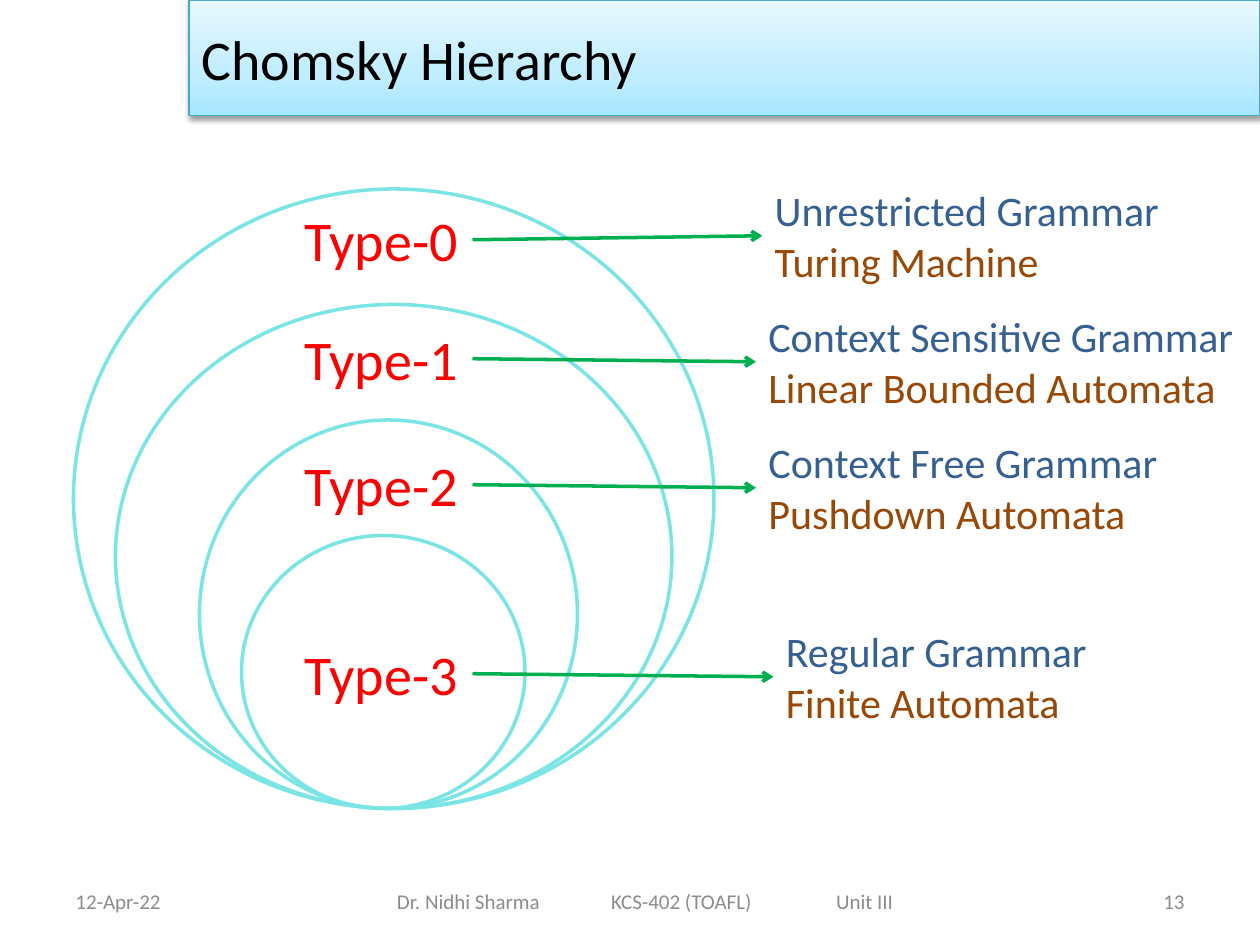
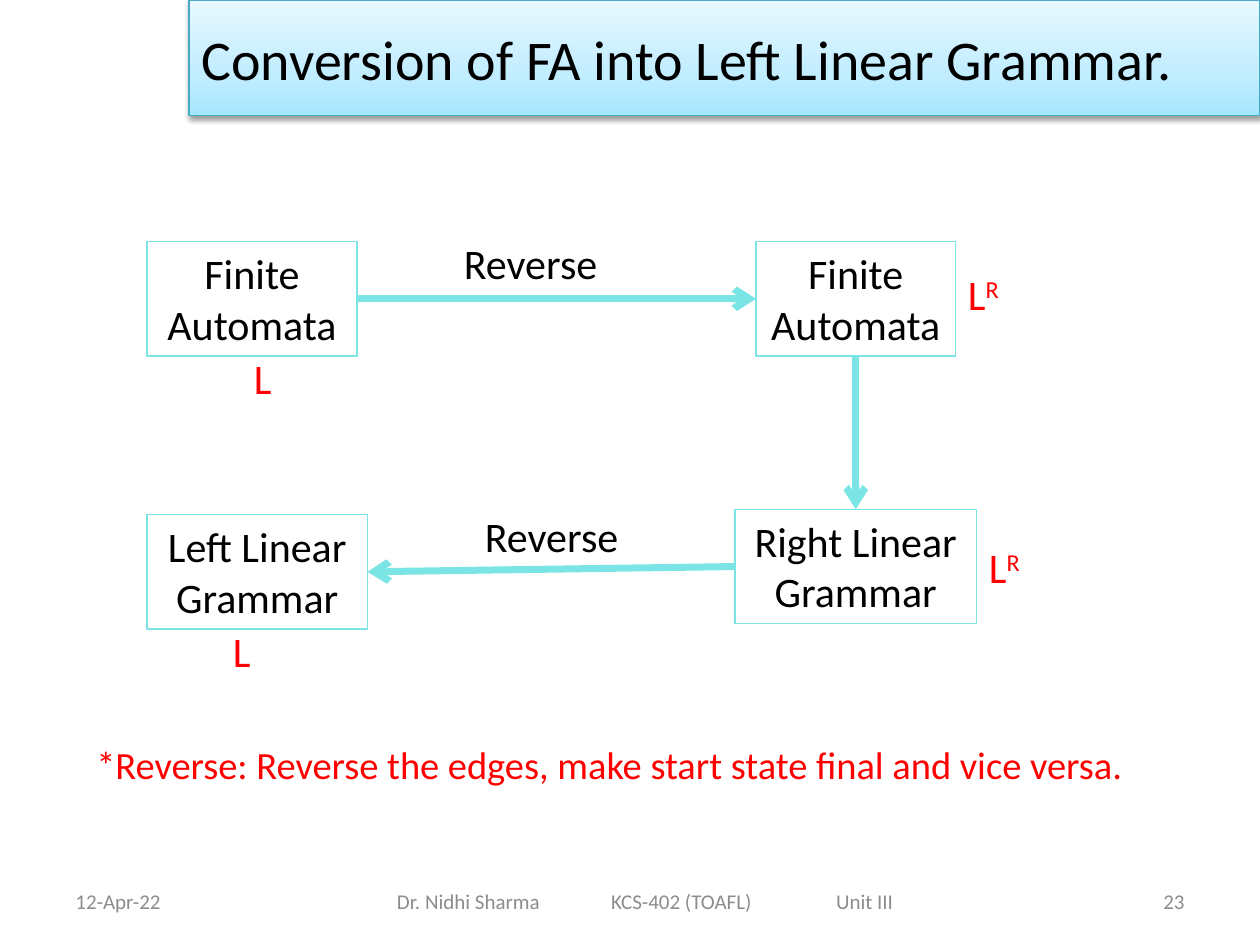
from dataclasses import dataclass
from typing import NamedTuple

from lxml import etree
from pptx import Presentation
from pptx.dml.color import RGBColor
from pptx.enum.shapes import MSO_CONNECTOR, MSO_SHAPE
from pptx.enum.text import MSO_ANCHOR, MSO_AUTO_SIZE, PP_ALIGN
from pptx.oxml.ns import qn
from pptx.util import Pt

LEFT, CENTER, RIGHT = PP_ALIGN.LEFT, PP_ALIGN.CENTER, PP_ALIGN.RIGHT
TOP, MIDDLE = MSO_ANCHOR.TOP, MSO_ANCHOR.MIDDLE
GROW, FIXED = MSO_AUTO_SIZE.SHAPE_TO_FIT_TEXT, MSO_AUTO_SIZE.NONE
RECT, OVAL = MSO_SHAPE.RECTANGLE, MSO_SHAPE.OVAL
STRAIGHT = MSO_CONNECTOR.STRAIGHT
SIDE_TOP, SIDE_LEFT, SIDE_BOTTOM, SIDE_RIGHT = range(4)


@dataclass(frozen=True)
class Theme:
    """Colours, font and type sizes shared by the slides."""
    font: str = "Calibri"
    black: str = "000000"
    red: str = "FF0000"
    grey: str = "8C8C8C"
    aqua: str = "7BE5E5"
    green: str = "00B050"
    blue: str = "376092"
    brown: str = "984807"
    band_line: str = "46AAC5"
    band_stops: tuple = ((0, "A7E6FF"), (35, "C1EDFF"), (100, "E7F8FF"))
    title: int = 32
    body: int = 24
    note: int = 22
    footer: int = 12


T = Theme()


class Box(NamedTuple):
    """Left, top, width and height in points."""
    x: float
    y: float
    w: float
    h: float


class Level(NamedTuple):
    """One class of the hierarchy with its grammar and its machine."""
    name: str
    name_y: float
    grammar: str
    machine: str
    box: Box
    oval_x: float
    oval_w: float


class Step(NamedTuple):
    """A boxed stage of the conversion with the language beside it."""
    text: str
    box: Box
    language: str
    language_x: float
    language_y: float


LEVELS = (
    Level("Type-0", 114, "Unrestricted Grammar", "Turing Machine",
          Box(435.6, 102, 236, 65.5), 42, 366),
    Level("Type-1", 182, "Context Sensitive Grammar", "Linear Bounded Automata",
          Box(432, 174, 283, 65.5), 66, 318),
    Level("Type-2", 254, "Context Free Grammar", "Pushdown Automata",
          Box(432, 246, 239, 65.5), 114, 216),
    Level("Type-3", 362, "Regular Grammar", "Finite Automata",
          Box(442, 354, 188, 65.5), 138, 162),
)
STEPS = (
    Step("Finite Automata", Box(84, 138, 120, 65.5), "L", 138, 198),
    Step("Finite Automata", Box(432, 138, 114, 65.5), "L^R", 546, 150),
    Step("Right Linear Grammar", Box(420, 291, 138, 65.5), "L^R", 558, 306),
    Step("Left Linear Grammar", Box(84, 294, 126, 65.5), "L", 126, 354),
)
STEP_SIDES = ((SIDE_RIGHT, SIDE_LEFT), (SIDE_BOTTOM, SIDE_TOP), (SIDE_LEFT, SIDE_RIGHT))
REVERSE_LABELS = (Box(258, 132, 114, 36), Box(270, 288, 114, 36))
OVAL_TOP, OVAL_STEP, OVAL_BOTTOM = 108, 66, 462
FOOTER_Y, FOOTER_H = 500.4, 28.8
COURSE = ("Dr. Nidhi Sharma", "KCS-402 (TOAFL)", "Unit III")
COURSE_TABS = (122.4, 251)


def rgb(color: str) -> RGBColor:
    """Turn a hex string into a colour."""
    return RGBColor.from_string(color)


def write(sp, *lines: str, size: int = T.body, colors: tuple = (T.black,), align=LEFT,
          anchor=TOP, wrap: bool = True, auto=GROW, tabs: tuple = ()):
    """Write one paragraph per line; text after a caret is raised."""
    tf = sp.text_frame
    tf.word_wrap, tf.auto_size, tf.vertical_anchor = wrap, auto, anchor
    for i, line in enumerate(lines):
        p = tf.add_paragraph() if i else tf.paragraphs[0]
        p.alignment = align
        if tabs:
            tab_list = etree.SubElement(p._p.get_or_add_pPr(), qn("a:tabLst"))
            for pos in tabs:
                etree.SubElement(tab_list, qn("a:tab"), pos=str(int(Pt(pos))), algn="l")
        for j, part in enumerate(line.split("^")):
            r = p.add_run()
            r.text = part
            r.font.name, r.font.size = T.font, Pt(size)
            r.font.color.rgb = rgb(colors[i % len(colors)])
            if j:
                r._r.get_or_add_rPr().set("baseline", "30000")
    return sp


def add_text(s, box: Box, *lines: str, **fmt):
    """Add a text box."""
    return write(s.shapes.add_textbox(*map(Pt, box)), *lines, **fmt)


def add_outline(s, kind, box: Box, color: str, width: float):
    """Add an unfilled preset shape."""
    sp = s.shapes.add_shape(kind, *map(Pt, box))
    sp.shadow.inherit = False
    sp.fill.background()
    sp.line.color.rgb, sp.line.width = rgb(color), Pt(width)
    return sp


def add_arrow(s, start, start_side: int, end, end_side: int, color: str, width: float) -> None:
    """Join two shapes with an open arrow."""
    line = s.shapes.add_connector(STRAIGHT, 0, 0, 0, 0)
    line.begin_connect(start, start_side)
    line.end_connect(end, end_side)
    line.line.color.rgb, line.line.width = rgb(color), Pt(width)
    etree.SubElement(line.line._get_or_add_ln(), qn("a:tailEnd"), type="arrow")
    etree.SubElement(line._element.spPr, qn("a:effectLst"))


def add_band(s, title: str) -> None:
    """Add the shaded title band."""
    sp = add_outline(s, RECT, Box(108, 0, 612, 66), T.band_line, 0.75)
    sp.fill.gradient()
    sp.fill.gradient_angle = 90
    pr = sp._element.spPr
    stops = pr.find(".//" + qn("a:gsLst"))
    stops.clear()
    for pos, color in T.band_stops:
        stop = etree.SubElement(stops, qn("a:gs"), pos=str(pos * 1000))
        etree.SubElement(stop, qn("a:srgbClr"), val=color)
    shadow = etree.SubElement(pr.find(qn("a:effectLst")), qn("a:outerShdw"), dir="5400000",
                              blurRad=str(int(Pt(3.1))), dist=str(int(Pt(1.6))), rotWithShape="0")
    shade = etree.SubElement(shadow, qn("a:srgbClr"), val=T.black)
    etree.SubElement(shade, qn("a:alpha"), val="38000")
    write(sp, title, size=T.title, anchor=MIDDLE, auto=FIXED)


def new_slide(prs, title: str, number: int):
    """Add a slide with its title band and footer."""
    s = prs.slides.add_slide(prs.slide_layouts[6])
    fmt = dict(size=T.footer, colors=(T.grey,), anchor=MIDDLE, auto=FIXED)
    add_text(s, Box(36, FOOTER_Y, 168, FOOTER_H), "12-Apr-22", **fmt)
    course = add_text(s, Box(198, FOOTER_Y, 342, FOOTER_H), "\t".join(COURSE),
                      tabs=COURSE_TABS, **fmt)
    course.text_frame.margin_left = Pt(28.8)
    add_text(s, Box(516, FOOTER_Y, 168, FOOTER_H), str(number), align=RIGHT, **fmt)
    add_band(s, title)
    return s


def build_hierarchy(prs) -> None:
    """Draw the nested language classes."""
    s = new_slide(prs, "Chomsky Hierarchy", 13)
    for i, level in enumerate(LEVELS):
        top = OVAL_TOP + i * OVAL_STEP
        add_outline(s, OVAL, Box(level.oval_x, top, level.oval_w, OVAL_BOTTOM - top), T.aqua, 2)
    for level in LEVELS:
        name = add_text(s, Box(167, level.name_y, 103, 46), level.name, size=T.title,
                        colors=(T.red,), wrap=False)
        text = add_text(s, level.box, level.grammar, level.machine,
                        colors=(T.blue, T.brown), wrap=False)
        add_arrow(s, name, SIDE_RIGHT, text, SIDE_LEFT, T.green, 2)


def build_conversion(prs) -> None:
    """Draw the steps from automaton to left linear grammar."""
    s = new_slide(prs, "Conversion of FA into Left Linear Grammar.", 23)
    boxes = []
    for step in STEPS:
        sp = add_outline(s, RECT, step.box, T.aqua, 0.75)
        boxes.append(write(sp, step.text, align=CENTER))
        add_text(s, Box(step.language_x, step.language_y, 90, 36), step.language, colors=(T.red,))
    for start, end, (start_side, end_side) in zip(boxes, boxes[1:], STEP_SIDES):
        add_arrow(s, start, start_side, end, end_side, T.aqua, 4)
    for box in REVERSE_LABELS:
        add_text(s, box, "Reverse")
    add_text(s, Box(48, 420, 606, 34),
             "*Reverse: Reverse the edges, make start state final and vice versa.",
             size=T.note, colors=(T.red,))


def main() -> None:
    """Build and save the presentation."""
    prs = Presentation()
    prs.slide_width, prs.slide_height = Pt(720), Pt(540)
    build_hierarchy(prs)
    build_conversion(prs)
    prs.save("out.pptx")


if __name__ == "__main__":
    main()
